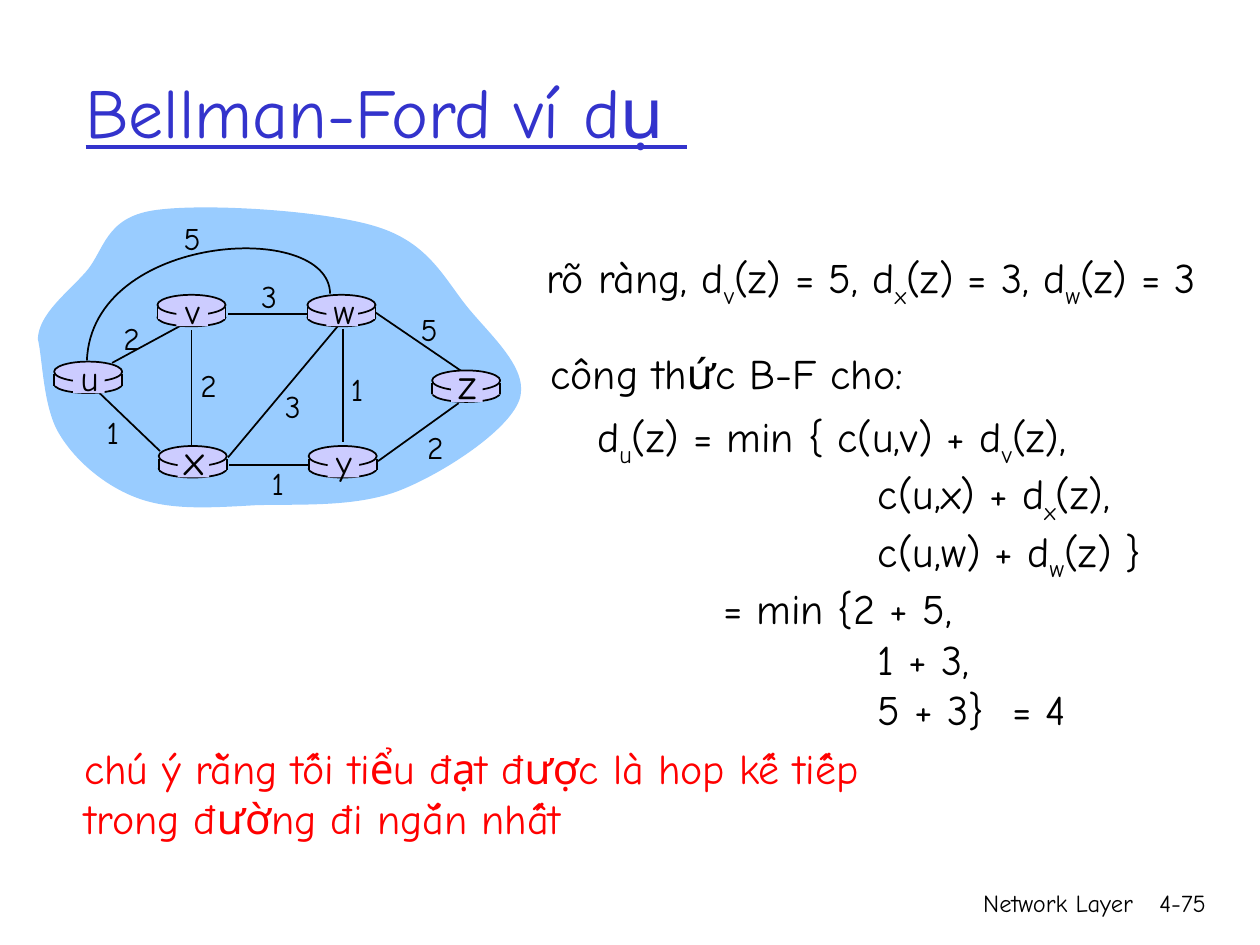
import pptx
import pptx.util
import pptx.dml.color
import pptx.enum.shapes
import pptx.enum.text
import lxml.etree

Inches, Pt = pptx.util.Inches, pptx.util.Pt
RGBColor = pptx.dml.color.RGBColor
MSO_SHAPE = pptx.enum.shapes.MSO_SHAPE
PP_ALIGN = pptx.enum.text.PP_ALIGN
qn = pptx.oxml.ns.qn
BLACK = RGBColor(0x00, 0x00, 0x00)
RED = RGBColor(0xFF, 0x00, 0x00)
TITLE_BLUE = RGBColor(0x33, 0x33, 0xCC)
CLOUD_BLUE = RGBColor(0x99, 0xCC, 0xFF)
ROUTER_LILAC = RGBColor(0xCC, 0xCC, 0xFF)
FONT = "Comic Neue"


def add_text(shapes, left, top, width, height, lines, size, color=BLACK,
             align=PP_ALIGN.LEFT, wrap=True):
    box = shapes.add_textbox(Inches(left), Inches(top), Inches(width), Inches(height))
    frame = box.text_frame
    frame.word_wrap = wrap
    for number, (indent, text) in enumerate(lines):
        paragraph = frame.add_paragraph() if number else frame.paragraphs[0]
        paragraph.alignment = align
        if indent:
            paragraph._p.get_or_add_pPr().set("marL", str(Inches(indent)))
        paragraph.font.name = FONT
        paragraph.font.size = Pt(size)
        paragraph.font.color.rgb = color
        first, *others = text.split("_")
        paragraph.add_run().text = first
        for part in others:
            subscript = paragraph.add_run()
            subscript.text = part[0]
            subscript._r.get_or_add_rPr().set("baseline", "-25000")
            paragraph.add_run().text = part[1:]
    return frame


def add_line(shapes, x1, y1, x2, y2):
    line = shapes.add_connector(pptx.enum.shapes.MSO_CONNECTOR.STRAIGHT,
                                Inches(x1), Inches(y1), Inches(x2), Inches(y2))
    line.line.color.rgb = BLACK
    line.line.width = Pt(1)
    lxml.etree.SubElement(line._element.spPr, qn("a:effectLst"))


deck = pptx.Presentation()
deck.slide_width, deck.slide_height = Inches(10), Inches(7.5)
slide = deck.slides.add_slide(deck.slide_layouts[5])

title = slide.shapes.title
title.left, title.top = Inches(0.58), Inches(0.25)
title.width, title.height = Inches(8.5), Inches(1.25)
title.text_frame.text = "Bellman-Ford ví dụ "
title.text_frame.vertical_anchor = pptx.enum.text.MSO_ANCHOR.MIDDLE
heading = title.text_frame.paragraphs[0]
heading.alignment = PP_ALIGN.LEFT
heading.font.name = FONT
heading.font.size = Pt(40)
heading.font.underline = True
heading.font.color.rgb = TITLE_BLUE

network = slide.shapes.add_group_shape().shapes

cloud = [
    (0.3, 2.69),
    (0.31, 2.49), (0.53, 2.33), (0.68, 2.16),
    (0.83, 1.99), (0.83, 1.73), (1.22, 1.67),
    (1.61, 1.61), (2.58, 1.67), (2.99, 1.8),
    (3.41, 1.93), (3.53, 2.22), (3.72, 2.45),
    (3.91, 2.68), (4.21, 2.94), (4.12, 3.18),
    (4.03, 3.42), (3.53, 3.75), (3.18, 3.89),
    (2.83, 4.03), (2.37, 4), (2.03, 4.01),
    (1.68, 4.03), (1.37, 4.05), (1.11, 3.96),
    (0.85, 3.87), (0.61, 3.67), (0.48, 3.46),
    (0.34, 3.25), (0.34, 2.85), (0.3, 2.69),
]
edge_u_w = [(2.62, 2.33), (2.61, 1.74), (0.73, 1.85), (0.69, 2.86)]
for controls, closed in [(cloud, True), (edge_u_w, False)]:
    start, *bends = [(Inches(x), Inches(y)) for x, y in controls]
    builder = network.build_freeform(*start)
    builder.add_line_segments(bends, close=closed)
    curve = builder.convert_to_shape()
    segments = list(curve._element.iter(qn("a:lnTo")))
    for first in range(0, len(segments), 3):
        bezier = lxml.etree.Element(qn("a:cubicBezTo"))
        segments[first].addprevious(bezier)
        for segment in segments[first:first + 3]:
            bezier.append(segment[0])
            segment.getparent().remove(segment)
    curve.shadow.inherit = False
    if closed:
        curve.fill.solid()
        curve.fill.fore_color.rgb = CLOUD_BLUE
        curve.line.fill.background()
    else:
        curve.fill.background()
        curve.line.color.rgb = BLACK
        curve.line.width = Pt(1)

edges = [
    (0.89, 2.88, 1.48, 2.56), (2.72, 2.61, 2.72, 3.51), (1.52, 2.62, 1.52, 3.55),
    (1.81, 3.63, 2.68, 2.59), (3, 3.66, 3.64, 3.2), (2.45, 3.69, 1.82, 3.69),
    (1.27, 3.58, 0.79, 3.12), (2.44, 2.49, 1.81, 2.49), (3.67, 2.95, 2.98, 2.48),
]
for edge in edges:
    add_line(network, *edge)

routers = [
    ("u", 0.43, 2.87, 20), ("x", 1.26, 3.54, 24), ("v", 1.25, 2.34, 20),
    ("w", 2.44, 2.34, 20), ("y", 2.45, 3.54, 20), ("z", 3.43, 2.94, 24),
]
router_parts = [
    (MSO_SHAPE.OVAL, 0, 0.11, 0.54, 0.14),
    (MSO_SHAPE.RECTANGLE, 0, 0.1, 0.54, 0.09),
    (MSO_SHAPE.OVAL, 0, 0, 0.54, 0.16),
    (MSO_SHAPE.RECTANGLE, 0.15, 0.02, 0.25, 0.23),
]
for name, left, top, size in routers:
    for kind, dx, dy, width, height in router_parts:
        part = network.add_shape(kind, Inches(left + dx), Inches(top + dy),
                                 Inches(width), Inches(height))
        part.shadow.inherit = False
        part.fill.solid()
        part.fill.fore_color.rgb = ROUTER_LILAC
        if kind == MSO_SHAPE.OVAL:
            part.line.color.rgb = BLACK
            part.line.width = Pt(1)
        else:
            part.line.fill.background()
    for side in (left, left + 0.54):
        add_line(network, side, top + 0.1, side, top + 0.19)
    label_rise, label_height = (0.09, 0.44) if size == 20 else (0.15, 0.5)
    add_text(network, left + 0.11, top - label_rise, 0.34, label_height, [(0, name)],
             size, align=PP_ALIGN.CENTER, wrap=False)

costs = [
    ("2", 0.88, 2.48), ("2", 1.49, 2.86), ("1", 0.73, 3.23), ("3", 2.16, 3.02),
    ("1", 2.04, 3.63), ("1", 2.67, 2.89), ("2", 3.29, 3.35), ("5", 3.24, 2.41),
    ("3", 1.97, 2.15), ("5", 1.36, 1.69),
]
for cost, left, top in costs:
    add_text(network, left, top, 0.33, 0.4, [(0, cost)], 18,
             align=PP_ALIGN.CENTER, wrap=False)

add_text(slide.shapes, 4.24, 1.95, 5.37, 0.56,
         [(0, "rõ ràng, d_v(z) = 5, d_x(z) = 3, d_w(z) = 3")], 24)
add_text(slide.shapes, 4.27, 2.71, 3, 0.5, [(0, "công thức B-F cho:")], 24)
MIN_INDENT, TERM_INDENT = 1, 2.23
formula = add_text(slide.shapes, 4.64, 3.21, 4.6, 2.67, [
    (0, "d_u(z) = min { c(u,v) + d_v(z),"),
    (TERM_INDENT, "c(u,x) + d_x(z),"),
    (TERM_INDENT, "c(u,w) + d_w(z) }"),
    (MIN_INDENT, "= min {2 + 5,"),
    (TERM_INDENT, "1 + 3,"),
    (TERM_INDENT, "5 + 3}"),
], 24)
gap = formula.paragraphs[-1].add_run()
gap.text = " "
gap._r.get_or_add_rPr().set("spc", "800")
formula.paragraphs[-1].add_run().text = "= 4"
add_text(slide.shapes, 0.57, 5.84, 6.37, 0.9, [
    (0, "chú ý rằng tối tiểu đạt được là hop kế tiếp"),
    (0, "trong đường đi ngắn nhất"),
], 24, RED)

add_text(slide.shapes, 5.92, 7, 3.17, 0.5, [(0, "Network Layer")], 14, align=PP_ALIGN.RIGHT)
add_text(slide.shapes, 8.93, 7, 0.74, 0.5, [(0, "4-75")], 14, align=PP_ALIGN.RIGHT)

deck.save("out.pptx")
